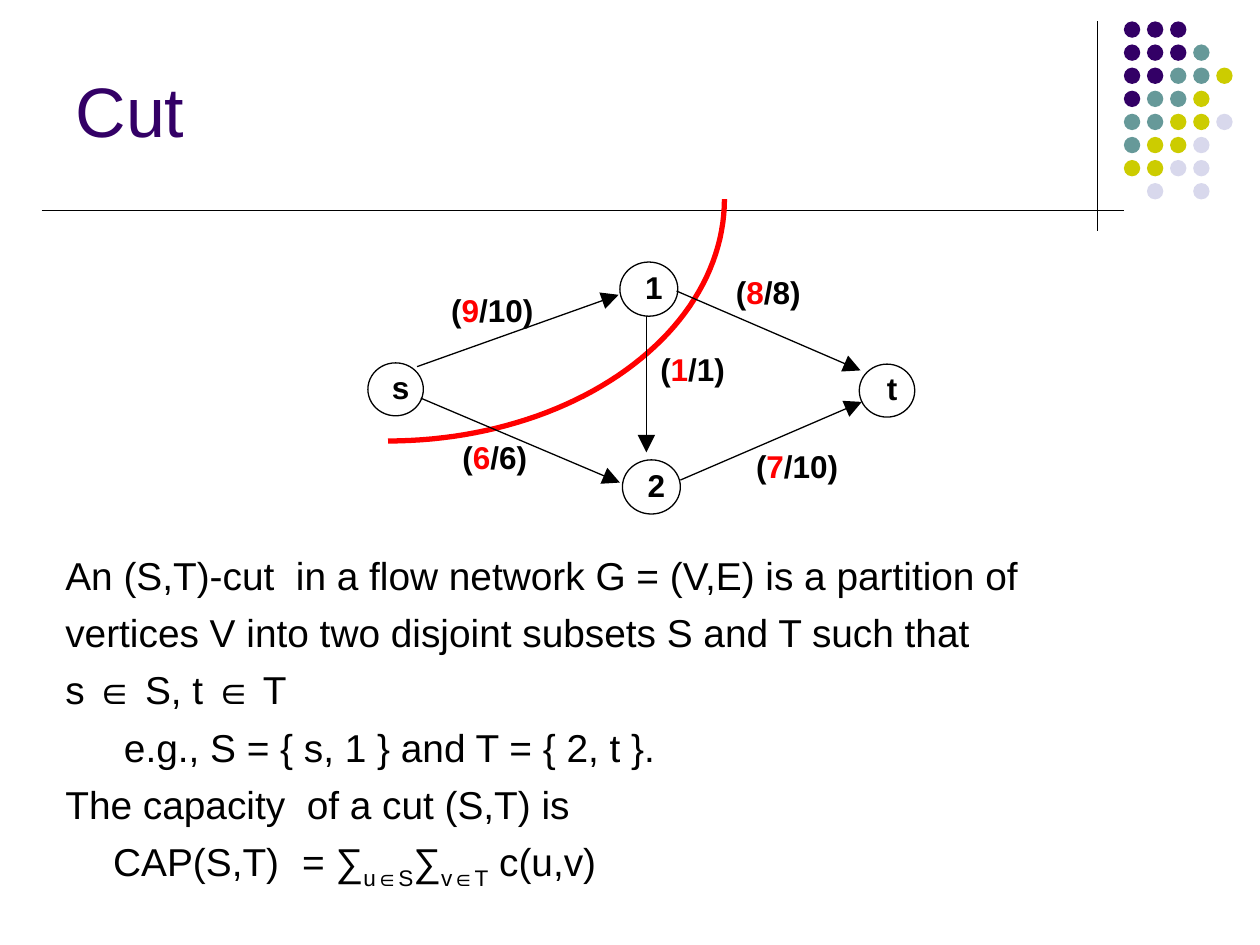
from math import cos, pi, sin

from lxml.etree import SubElement
from pptx import Presentation
from pptx.dml.color import RGBColor
from pptx.enum.shapes import MSO_CONNECTOR, MSO_SHAPE
from pptx.enum.text import MSO_ANCHOR, PP_ALIGN
from pptx.oxml.ns import qn
from pptx.util import Inches, Pt

BLACK = RGBColor(0x00, 0x00, 0x00)
WHITE = RGBColor(0xFF, 0xFF, 0xFF)
RED = RGBColor(0xFF, 0x00, 0x00)
PURPLE = RGBColor(0x33, 0x00, 0x66)
TEAL = RGBColor(0x66, 0x99, 0x99)
OLIVE = RGBColor(0xCC, 0xCC, 0x00)
LILAC = RGBColor(0xD8, 0xD8, 0xEC)

DOT_COLOURS = {"P": PURPLE, "T": TEAL, "O": OLIVE, "L": LILAC}
DOT_ROWS = ["PPP", "PPPT", "PPTTO", "PTTO", "TTOOL", "TOOL", "OOLL", " L L"]

# Each node: name, left, top, width, height inside the diagram
NODES = [
    ("s", 0, 1.30, 0.44, 0.42),
    ("1", 2.00, 0.50, 0.46, 0.43),
    ("2", 2.02, 2.07, 0.46, 0.43),
    ("t", 3.90, 1.31, 0.44, 0.42),
]
# Each edge: start, end, flow, capacity, label position inside the diagram
EDGES = [
    ((0.39, 1.33), (1.99, 0.76), "9", "10", (0.66, 0.73)),
    ((0.42, 1.58), (2.00, 2.25), "6", "6", (0.75, 1.90)),
    ((2.45, 0.73), (3.91, 1.36), "8", "8", (2.92, 0.59)),
    ((2.48, 2.23), (3.92, 1.61), "7", "10", (3.08, 1.97)),
    ((2.21, 0.93), (2.21, 2.01), "1", "1", (2.32, 1.20)),
]
# Each paragraph: runs of text with a flag for subscript
BODY = [
    [("An (S,T)-cut  in a flow network G = (V,E) is a partition of", False)],
    [("vertices V into two disjoint subsets S and T such that", False)],
    [("s ∈ S, t ∈ T", False)],
    [("\t e.g., S = { s, 1 } and T = { 2, t }.", False)],
    [("The capacity  of a cut (S,T) is", False)],
    [("\tCAP(S,T) \t= ∑", False), ("u∈S", True), ("∑", False),
     ("v∈T", True), (" c(u,v)", False)],
]


def add_span(para, text, size, colour, bold=False):
    """Add one formatted run to a paragraph and return it."""
    span = para.add_run()
    span.text = text
    span.font.name = "Arial"
    span.font.size = Pt(size)
    span.font.bold = bold
    span.font.color.rgb = colour
    return span


def clear_margins(frame):
    """Remove the inner margins and the wrapping of a text frame."""
    frame.margin_left = frame.margin_right = 0
    frame.margin_top = frame.margin_bottom = 0
    frame.word_wrap = False


def add_ellipse(page, left, top, width, height, fill):
    """Add a flat ellipse without an outline."""
    ellipse = page.shapes.add_shape(
        MSO_SHAPE.OVAL, Inches(left), Inches(top), Inches(width), Inches(height))
    ellipse.shadow.inherit = False
    ellipse.fill.solid()
    ellipse.fill.fore_color.rgb = fill
    ellipse.line.fill.background()
    return ellipse


def add_line(page, start, end, arrow=False):
    """Add a thin black line, with an arrowhead at its end if wanted."""
    line = page.shapes.add_connector(
        MSO_CONNECTOR.STRAIGHT, *(Inches(value) for value in (*start, *end)))
    line.line.color.rgb = BLACK
    line.line.width = Pt(0.75)
    properties = line._element.spPr
    if arrow:
        SubElement(properties.find(qn("a:ln")), qn("a:tailEnd"),
                   type="triangle", w="lg", len="lg")
    SubElement(properties, qn("a:effectLst"))


def add_dots(page, left, top):
    """Place the triangular field of coloured dots."""
    pitch = 0.55 / 3
    for row, codes in enumerate(DOT_ROWS):
        for column, code in enumerate(codes):
            if code in DOT_COLOURS:
                add_ellipse(page, left + column * pitch, top + row * pitch,
                            0.13, 0.13, DOT_COLOURS[code])


def add_title(page, text, left, top, width, height):
    """Move and format the title placeholder."""
    title = page.shapes.title
    title.left, title.top = Inches(left), Inches(top)
    title.width, title.height = Inches(width), Inches(height)
    title.text_frame.vertical_anchor = MSO_ANCHOR.BOTTOM
    para = title.text_frame.paragraphs[0]
    para.alignment = PP_ALIGN.LEFT
    add_span(para, text, 40, PURPLE)


def add_cut(page, left, top, width, height):
    """Draw the red quarter ellipse that separates the two node sets."""
    steps = 48
    angles = [pi / 2 * (1 - step / steps) for step in range(steps + 1)]
    points = [(Inches(left + width * cos(angle)), Inches(top + height * sin(angle)))
              for angle in angles]
    builder = page.shapes.build_freeform(*points[0])
    builder.add_line_segments(points[1:], close=False)
    curve = builder.convert_to_shape()
    curve.shadow.inherit = False
    curve.fill.background()
    curve.line.color.rgb = RED
    curve.line.width = Pt(3)


def add_node(page, name, left, top, width, height):
    """Place one outlined node with its name."""
    node = add_ellipse(page, left, top, width, height, WHITE)
    node.line.color.rgb = BLACK
    node.line.width = Pt(0.75)
    frame = node.text_frame
    clear_margins(frame)
    frame.margin_left = Inches(0.08)
    frame.margin_bottom = Inches(0.04)
    frame.vertical_anchor = MSO_ANCHOR.MIDDLE
    para = frame.paragraphs[0]
    para.alignment = PP_ALIGN.CENTER
    add_span(para, name, 18, BLACK, bold=True)


def add_edge_label(page, flow, capacity, left, top):
    """Write flow and capacity beside an edge."""
    width = 0.44 + 0.14 * len(capacity)
    box = page.shapes.add_textbox(Inches(left), Inches(top), Inches(width), Inches(0.3))
    clear_margins(box.text_frame)
    para = box.text_frame.paragraphs[0]
    para.alignment = PP_ALIGN.LEFT
    box.text_frame.word_wrap = True
    for text, colour in (("(", BLACK), (flow, RED), (f"/{capacity})", BLACK)):
        add_span(para, text, 18, colour, bold=True)


def add_network(page, left, top):
    """Place the flow network: cut, nodes, edges and labels."""
    add_cut(page, left + 0.16, top, 2.67, 1.92)
    for name, x, y, width, height in NODES:
        add_node(page, name, left + x, top + y, width, height)
    for start, end, flow, capacity, (x, y) in EDGES:
        add_line(page, (left + start[0], top + start[1]),
                 (left + end[0], top + end[1]), arrow=True)
        add_edge_label(page, flow, capacity, left + x, top + y)


def add_body(page, left, top, width, height):
    """Write the definition with hanging indents and a tab stop."""
    box = page.shapes.add_textbox(
        Inches(left), Inches(top), Inches(width), Inches(height))
    frame = box.text_frame
    frame.word_wrap = True
    for index, spans in enumerate(BODY):
        para = frame.paragraphs[0] if index == 0 else frame.add_paragraph()
        para.space_before = Pt(6)
        properties = para._p.get_or_add_pPr()
        properties.set("marL", str(Inches(0.38)))
        properties.set("indent", str(-Inches(0.38)))
        tabs = SubElement(properties, qn("a:tabLst"))
        SubElement(tabs, qn("a:tab"), pos=str(Inches(2.38)), algn="l")
        for text, subscript in spans:
            span = add_span(para, text, 22.2, BLACK)
            if subscript:
                span.font._element.set("baseline", "-25000")


def build_cut_page(deck):
    """Build the slide about cuts."""
    page = deck.slides.add_slide(deck.slide_layouts[5])
    add_line(page, (8.71, 0.17), (8.71, 1.83))
    add_dots(page, 8.92, 0.17)
    add_line(page, (0.33, 1.67), (8.92, 1.67))
    add_title(page, "Cut", 0.5, 0, 9, 1.25)
    add_body(page, 0.42, 4.33, 9.25, 2.83)
    add_network(page, 2.92, 1.58)


deck = Presentation()
deck.slide_width, deck.slide_height = Inches(10), Inches(7.5)
build_cut_page(deck)
deck.save("out.pptx")
